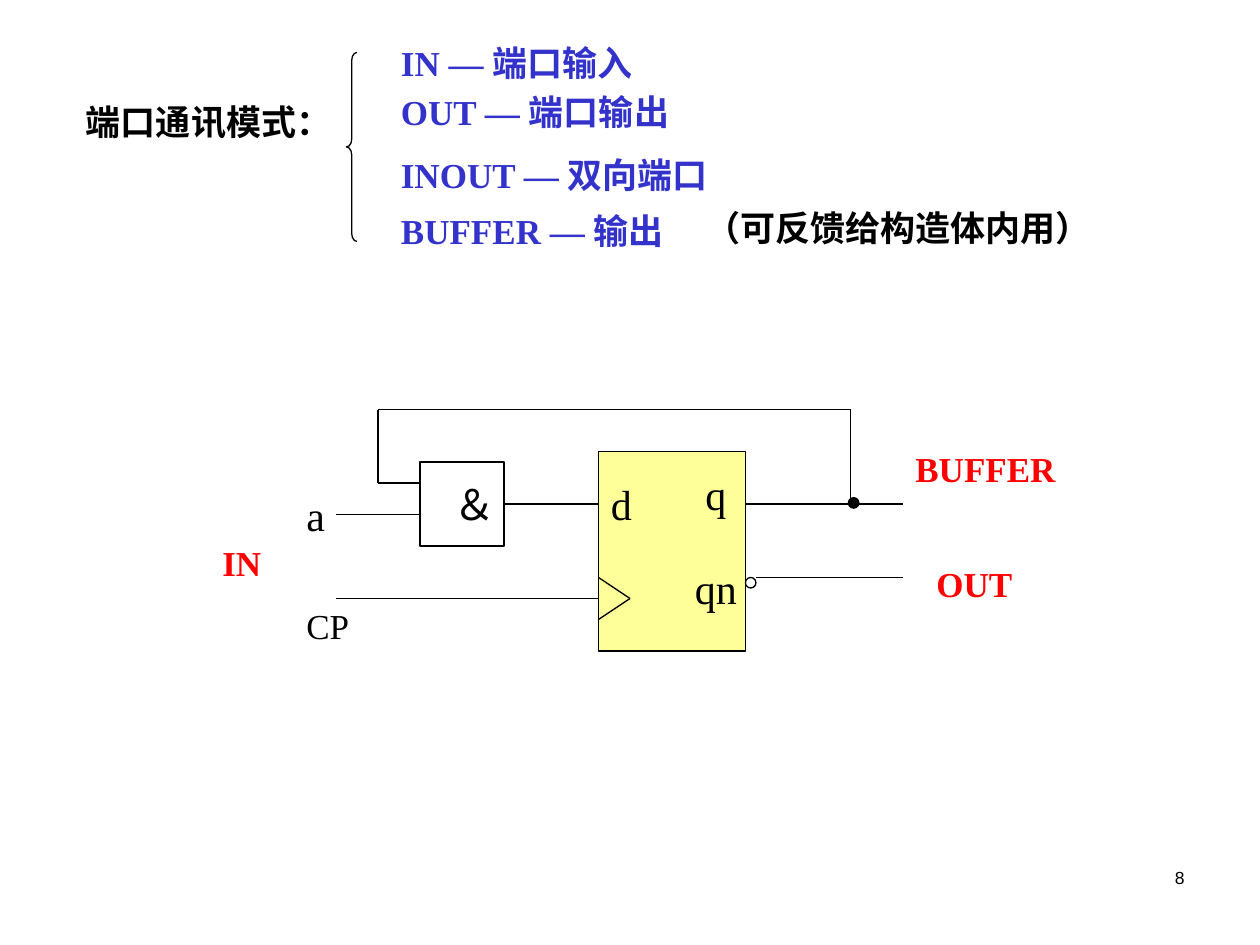
import pptx
import pptx.dml.color
import pptx.enum.shapes
import pptx.enum.text
import pptx.oxml
import pptx.util

PX = 7620  # EMU in one px, 120 px to the inch
BLACK = pptx.dml.color.RGBColor(0x00, 0x00, 0x00)
BLUE = pptx.dml.color.RGBColor(0x33, 0x33, 0xCC)
RED = pptx.dml.color.RGBColor(0xFF, 0x00, 0x00)
YELLOW = pptx.dml.color.RGBColor(0xFF, 0xFF, 0x99)
SHAPES = pptx.enum.shapes.MSO_SHAPE
LINE_WIDTH = pptx.util.Pt(0.75)


def px(*lengths):
    return [length * PX for length in lengths]


def add_text(slide, box, text, size=20, color=BLACK, bold=False,
             font="Times New Roman", line_spacing=None, align=None):
    shape = slide.shapes.add_textbox(*px(*box))
    frame = shape.text_frame
    frame.word_wrap = True
    frame.text = text
    paragraph = frame.paragraphs[0]
    paragraph.line_spacing = line_spacing
    paragraph.alignment = align
    run_font = paragraph.runs[0].font
    run_font.name = font
    run_font.size = pptx.util.Pt(size)
    run_font.bold = bold
    run_font.color.rgb = color


def add_outlined(slide, kind, box, fill=None):
    shape = slide.shapes.add_shape(kind, *px(*box))
    shape.shadow.inherit = False
    if fill is None:
        shape.fill.background()
    else:
        shape.fill.solid()
        shape.fill.fore_color.rgb = fill
    shape.line.color.rgb = BLACK
    shape.line.width = LINE_WIDTH
    return shape


def add_wire(slide, left, top, points):
    """Join each point to the next with a straight line."""
    for (x1, y1), (x2, y2) in zip(points, points[1:]):
        wire = slide.shapes.add_connector(
            pptx.enum.shapes.MSO_CONNECTOR.STRAIGHT,
            *px(left + x1, top + y1, left + x2, top + y2))
        wire.line.color.rgb = BLACK
        wire.line.width = LINE_WIDTH
        wire._element.spPr.append(pptx.oxml.parse_xml(
            '<a:effectLst xmlns:a="http://schemas.openxmlformats.org/drawingml/2006/main"/>'))


def add_port_modes(slide, left, top):
    # Heading and brace
    add_text(slide, (left, top + 50, 294, 53), "端口通讯模式：", bold=True)
    brace = add_outlined(slide, SHAPES.LEFT_BRACE, (left + 260, top + 10, 10, 180))
    brace.adjustments[0] = 0.75
    brace.adjustments[1] = 0.5

    # The four modes
    modes = [
        (0, 260, 47, "IN — 端口输入", 0.85),
        (40, 296, 53, "OUT — 端口输出", None),
        (100, 353, 53, "INOUT — 双向端口", None),
        (160, 306, 47, "BUFFER — 输出", 0.85),
    ]
    for y, width, height, text, spacing in modes:
        add_text(slide, (left + 300, top + y, width, height), text,
                 color=BLUE, bold=True, line_spacing=spacing)
    add_text(slide, (left + 590, top + 151, 432, 53),
             "（可反馈给构造体内用）", bold=True)


def add_circuit(slide, left, top):
    # Flip-flop and AND gate
    add_outlined(slide, SHAPES.RECTANGLE, (left + 290, top + 40, 140, 190), YELLOW)
    add_outlined(slide, SHAPES.RECTANGLE, (left + 120, top + 50, 80, 80))

    # Wires: feedback, outputs, inputs and clock mark
    wires = [
        [(120, 70), (80, 70), (80, 0), (530, 0), (530, 90)],
        [(430, 90), (580, 90)],
        [(440, 160), (580, 160)],
        [(200, 90), (290, 90)],
        [(290, 180), (40, 180)],
        [(120, 100), (40, 100)],
        [(290, 160), (320, 180), (290, 200)],
    ]
    for points in wires:
        add_wire(slide, left, top, points)

    # Inversion circle and junction dot
    add_outlined(slide, SHAPES.OVAL, (left + 430, top + 160, 10, 10))
    add_outlined(slide, SHAPES.OVAL, (left + 528, top + 84, 10, 10), BLACK)

    # Pin names
    pins = [
        (140, 60, 60, "＆", 24),
        (290, 60, 40, "d", 24),
        (380, 50, 50, "q", 24),
        (370, 140, 70, "qn", 24),
        (0, 70, 32, "a", 24),
        (0, 180, 82, "CP", 20),
    ]
    for x, y, width, text, size in pins:
        add_text(slide, (left + x, top + y, width, 60), text, size)

    # Port modes of the pins
    for x, y, width, text in [(-80, 120, 62, "IN"), (600, 140, 102, "OUT"),
                              (580, 30, 182, "BUFFER")]:
        add_text(slide, (left + x, top + y, width, 53), text, color=RED, bold=True)


def main():
    presentation = pptx.Presentation()
    presentation.slide_width, presentation.slide_height = px(1200, 900)
    slide = presentation.slides.add_slide(presentation.slide_layouts[6])
    add_port_modes(slide, 70, 40)
    add_circuit(slide, 280, 390)
    # Slide number
    add_text(slide, (860, 820, 280, 60), "8", size=10, font="Arial",
             align=pptx.enum.text.PP_ALIGN.RIGHT)
    presentation.save("out.pptx")


if __name__ == "__main__":
    main()
